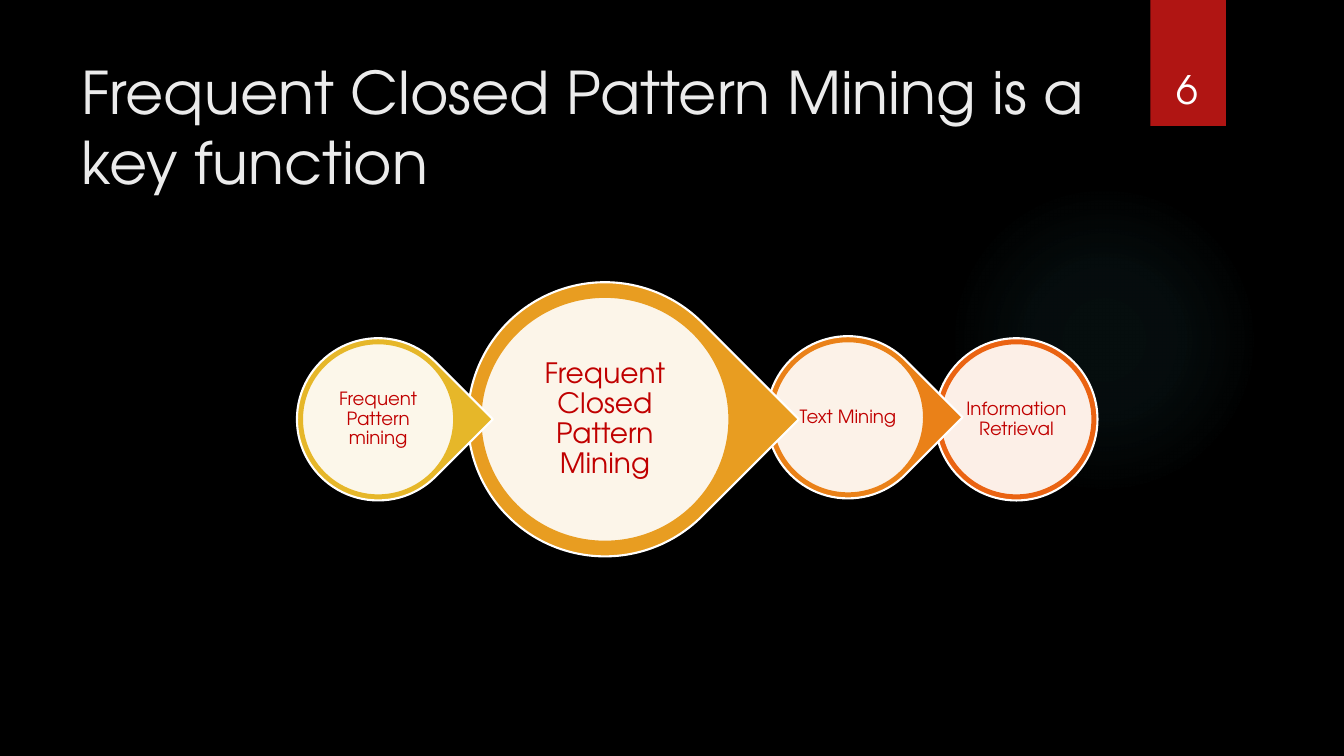
from lxml.etree import SubElement
from pptx import Presentation
from pptx.dml.color import RGBColor
from pptx.enum.shapes import MSO_SHAPE as Shape
from pptx.enum.text import MSO_ANCHOR as Anchor, PP_ALIGN as Align
from pptx.oxml.ns import qn
from pptx.util import Inches, Pt

FONT = "TeX Gyre Adventor"
TITLE = "Frequent Closed Pattern Mining is a key function"
PAGE_NUMBER = "6"
GLOW_COLOR = "50B9C1"
GLOW_STOPS = [(0, 7), (36, 6), (69, 0)]
SMALL = {"ring": 1.61, "disc": (1.51, 1.51), "label": (1.08, 1.08), "size": 13, "inset": 0.02}
LARGE = {"ring": 2.72, "disc": (2.47, 2.43), "label": (1.77, 1.73), "size": 20, "inset": 0.03}
STAGES = [
    ("Information Retrieval", 10.08, 4.16, "EA6312", SMALL, Shape.OVAL),
    ("Text Mining", 8.41, 4.14, "EA8118", SMALL, Shape.TEAR),
    ("Frequent Closed Pattern Mining", 6.0, 4.16, "E89D21", LARGE, Shape.TEAR),
    ("Frequent Pattern mining", 3.75, 4.16, "E6B729", SMALL, Shape.TEAR),
]


def rgb(color):
    return RGBColor.from_string(color)


def centred(x, y, width, height):
    return x - width / 2, y - height / 2, width, height


def set_alpha(color_element, percent):
    SubElement(color_element, qn("a:alpha")).set("val", str(percent * 1000))


def add_shape(page, kind, frame, fill, line=None, alpha=None):
    shape = page.shapes.add_shape(kind, *map(Inches, frame))
    shape.shadow.inherit = False
    shape.fill.solid()
    shape.fill.fore_color.rgb = rgb(fill)
    if alpha is not None:
        set_alpha(shape.fill._xPr.find(qn("a:solidFill"))[0], alpha)
    if line:
        shape.line.color.rgb = rgb(line)
        shape.line.width = Pt(1.5)
    else:
        shape.line.fill.background()
    return shape


def add_glow(page):
    glow = add_shape(page, Shape.OVAL, (9.41, 1.83, 3.08, 3.08), GLOW_COLOR)
    glow.fill.gradient()
    gradient = glow.fill._xPr.find(qn("a:gradFill"))
    for child in list(gradient):
        gradient.remove(child)
    stops = SubElement(gradient, qn("a:gsLst"))
    for position, alpha in GLOW_STOPS:
        stop = SubElement(stops, qn("a:gs"), pos=str(position * 1000))
        set_alpha(SubElement(stop, qn("a:srgbClr"), val=GLOW_COLOR), alpha)
    circle = SubElement(gradient, qn("a:path"), path="circle")
    SubElement(circle, qn("a:fillToRect"), {side: "50000" for side in "ltrb"})


def write(box, text, size, color, anchor, align):
    frame = box.text_frame
    frame.word_wrap = True
    frame.vertical_anchor = anchor
    frame.text = text
    para = frame.paragraphs[0]
    para.alignment = align
    font = para.runs[0].font
    font.name, font.size, font.color.rgb = FONT, Pt(size), rgb(color)
    return frame


def add_text(page, frame, text, size, color, anchor):
    box = page.shapes.add_textbox(*map(Inches, frame))
    return write(box, text, size, color, anchor, Align.CENTER)


def add_stage(page, text, x, y, color, scale, kind):
    ring = add_shape(page, kind, centred(x, y, scale["ring"], scale["ring"]), color, "FFFFFF")
    if kind == Shape.TEAR:
        ring.rotation = 45
    add_shape(page, Shape.OVAL, centred(x, y, *scale["disc"]), "FFFFFF", color, 90)
    frame = add_text(page, centred(x, y, *scale["label"]), text, scale["size"], "C00000", Anchor.MIDDLE)
    inset = Inches(scale["inset"])
    frame.margin_left = frame.margin_right = frame.margin_top = frame.margin_bottom = inset
    frame.paragraphs[0].line_spacing = 0.9


def main():
    deck = Presentation()
    deck.slide_width, deck.slide_height = Inches(13.33), Inches(7.5)
    page = deck.slides.add_slide(deck.slide_layouts[5])
    page.background.fill.solid()
    page.background.fill.fore_color.rgb = rgb("000000")

    add_glow(page)
    add_shape(page, Shape.RECTANGLE, (11.41, 0, 0.75, 1.25), "B01513")

    title = page.shapes.title
    title.left, title.top, title.width, title.height = map(Inches, (0.71, 0.5, 10.29, 1.53))
    write(title, TITLE, 42, "EBEBEB", Anchor.TOP, Align.LEFT)

    for stage in STAGES:
        add_stage(page, *stage)

    add_text(page, (11.32, 0.32, 0.92, 0.84), PAGE_NUMBER, 28, "FFFFFF", Anchor.BOTTOM)
    deck.save("out.pptx")


if __name__ == "__main__":
    main()
